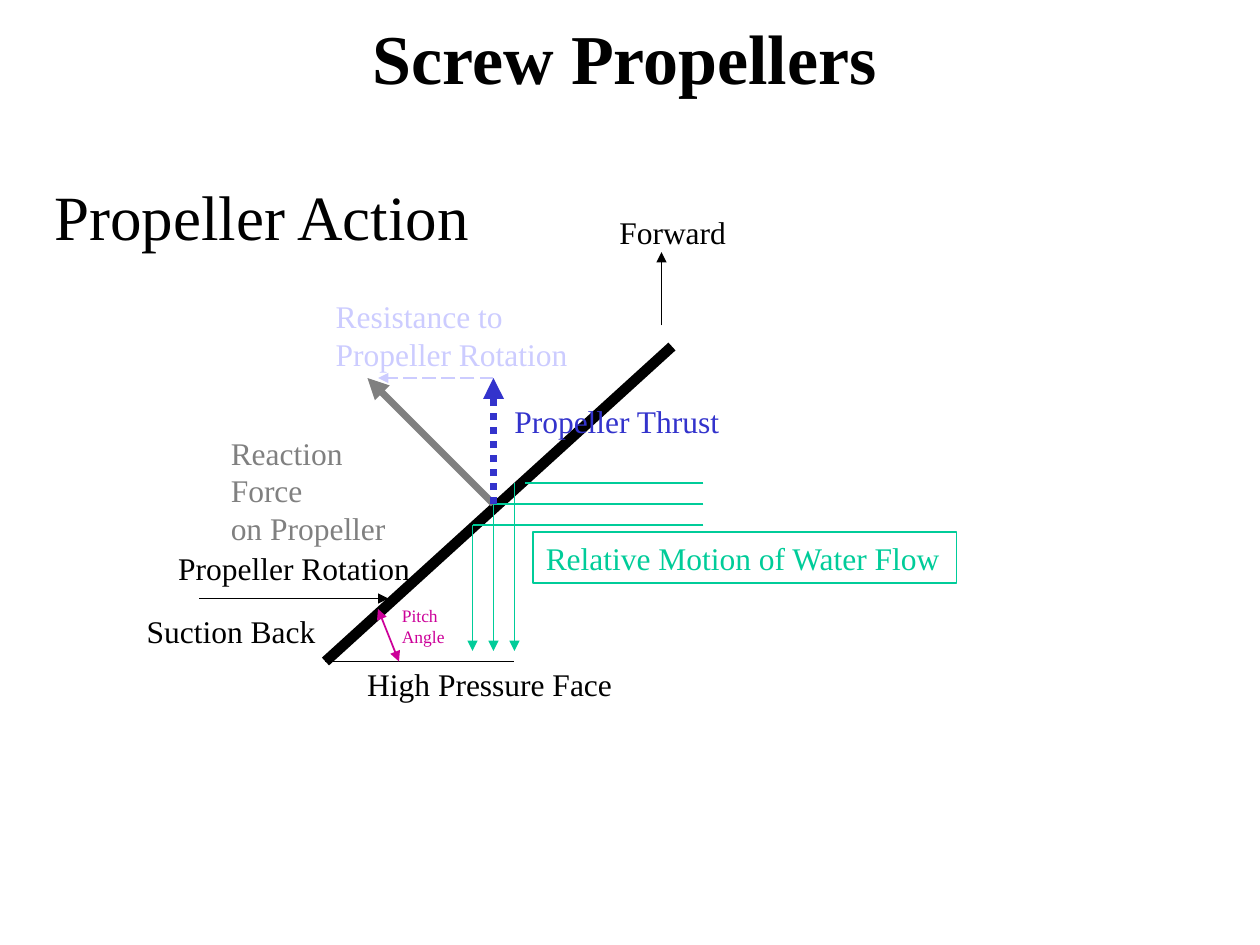
from dataclasses import dataclass
from lxml.etree import SubElement
from pptx import Presentation
from pptx.dml.color import RGBColor
from pptx.enum.dml import MSO_LINE
from pptx.enum.shapes import MSO_CONNECTOR, MSO_SHAPE
from pptx.enum.text import MSO_ANCHOR, MSO_AUTO_SIZE, PP_ALIGN
from pptx.oxml.ns import qn
from pptx.util import Inches, Pt


@dataclass(frozen=True)
class Theme:
    font: str = "Times New Roman"
    ink: str = "000000"
    water: str = "00CC99"
    force: str = "808080"
    thrust: str = "3333CC"
    drag: str = "CCCCFF"
    pitch: str = "CC0099"
    title: int = 40
    head: int = 36
    body: int = 18
    small: int = 10
    thin: int = 1
    bold: int = 4
    blade: int = 6


theme = Theme()
deck = Presentation()
deck.slide_width, deck.slide_height = Inches(10), Inches(7.5)
slide = deck.slides.add_slide(deck.slide_layouts[6])
# The grid has 120 columns and 90 rows.
col = deck.slide_width / 120
row = deck.slide_height / 90


def draw_line(start, end, color, width=theme.thin, ends=(), dash=None):
    """Join two grid points; ends names the tips that carry an arrowhead."""
    (x1, y1), (x2, y2) = start, end
    line = slide.shapes.add_connector(
        MSO_CONNECTOR.STRAIGHT, int(x1 * col), int(y1 * row), int(x2 * col), int(y2 * row))
    line.line.color.rgb = RGBColor.from_string(color)
    line.line.width = Pt(width)
    if dash:
        line.line.dash_style = dash
    props = line._element.spPr
    for tip in ends:
        SubElement(props.find(qn("a:ln")), qn(f"a:{tip}"), type="triangle")
    SubElement(props, qn("a:effectLst"))


def add_label(lines, left, top, width, height, color=theme.ink, size=theme.body,
              bold=False, framed=False):
    """Place text in a grid box, one paragraph for each line."""
    box = slide.shapes.add_shape(
        MSO_SHAPE.RECTANGLE, int(left * col), int(top * row), int(width * col), int(height * row))
    box.shadow.inherit = False
    box.fill.background()
    if framed:
        box.line.color.rgb = RGBColor.from_string(color)
        box.line.width = Pt(theme.thin)
    else:
        box.line.fill.background()
    frame = box.text_frame
    frame.word_wrap = False
    frame.auto_size = MSO_AUTO_SIZE.SHAPE_TO_FIT_TEXT
    frame.vertical_anchor = MSO_ANCHOR.TOP
    for i, text in enumerate(lines):
        para = frame.add_paragraph() if i else frame.paragraphs[0]
        para.alignment = PP_ALIGN.LEFT
        run = para.add_run()
        run.text = text
        run.font.name = theme.font
        run.font.size = Pt(size)
        run.font.bold = bold
        run.font.color.rgb = RGBColor.from_string(color)
    return box


# Headings
add_label(["Screw Propellers"], 34.3, 0.8, 50.8, 9.2, size=theme.title, bold=True)
head = add_label(["Propeller Action"], 4, 13, 102, 15, size=theme.head)
head.text_frame.word_wrap = True
head.text_frame.auto_size = MSO_AUTO_SIZE.NONE
head.text_frame.vertical_anchor = MSO_ANCHOR.MIDDLE

# Blade and its motion
foot, hub = (31, 63), (47, 48)
draw_line((64, 33), foot, theme.ink, theme.blade)
draw_line((63, 31), (63, 24), theme.ink, ends=["tailEnd"])
draw_line((19, 57), (37, 57), theme.ink, ends=["tailEnd"])

# Water flows in level and leaves straight down
for x, y, edge in [(45, 50, 45), (47, 48, 47), (49, 46, 50)]:
    draw_line((67, y), (edge, y), theme.water)
    draw_line((x, y), (x, 62), theme.water, ends=["tailEnd"])

# Forces at the hub
draw_line(hub, (35, 36), theme.force, theme.bold, ["tailEnd"])
draw_line(hub, (47, 36), theme.thrust, theme.bold, ["tailEnd"], MSO_LINE.ROUND_DOT)
draw_line((47, 36), (36, 36), theme.drag, ends=["tailEnd"], dash=MSO_LINE.LONG_DASH)

# Pitch angle
draw_line(foot, (49, 63), theme.ink)
draw_line((36, 58), (38, 63), theme.pitch, ends=["headEnd", "tailEnd"])

# Labels
for lines, left, top, width, color in [
    (["Forward"], 57.8, 19.7, 12.6, theme.ink),
    (["Propeller Rotation"], 15.8, 51.7, 24.5, theme.ink),
    (["High Pressure Face"], 33.8, 62.7, 25.7, theme.ink),
    (["Suction Back"], 12.8, 57.7, 18.5, theme.ink),
    (["Reaction Force", "on Propeller"], 20.8, 40.7, 20.6, theme.force),
    (["Propeller Thrust"], 47.8, 37.7, 22, theme.thrust),
    (["Resistance to", "Propeller Rotation"], 30.8, 27.7, 24.5, theme.drag),
]:
    add_label(lines, left, top, width, 1.2 + 3.6 * len(lines), color)
add_label(["Pitch", "Angle"], 37.1, 57, 6.5, 5.2, theme.pitch, theme.small)
add_label(["Relative Motion of Water Flow"], 50.8, 50.7, 40.3, 4.8, theme.water, framed=True)

deck.save("out.pptx")
